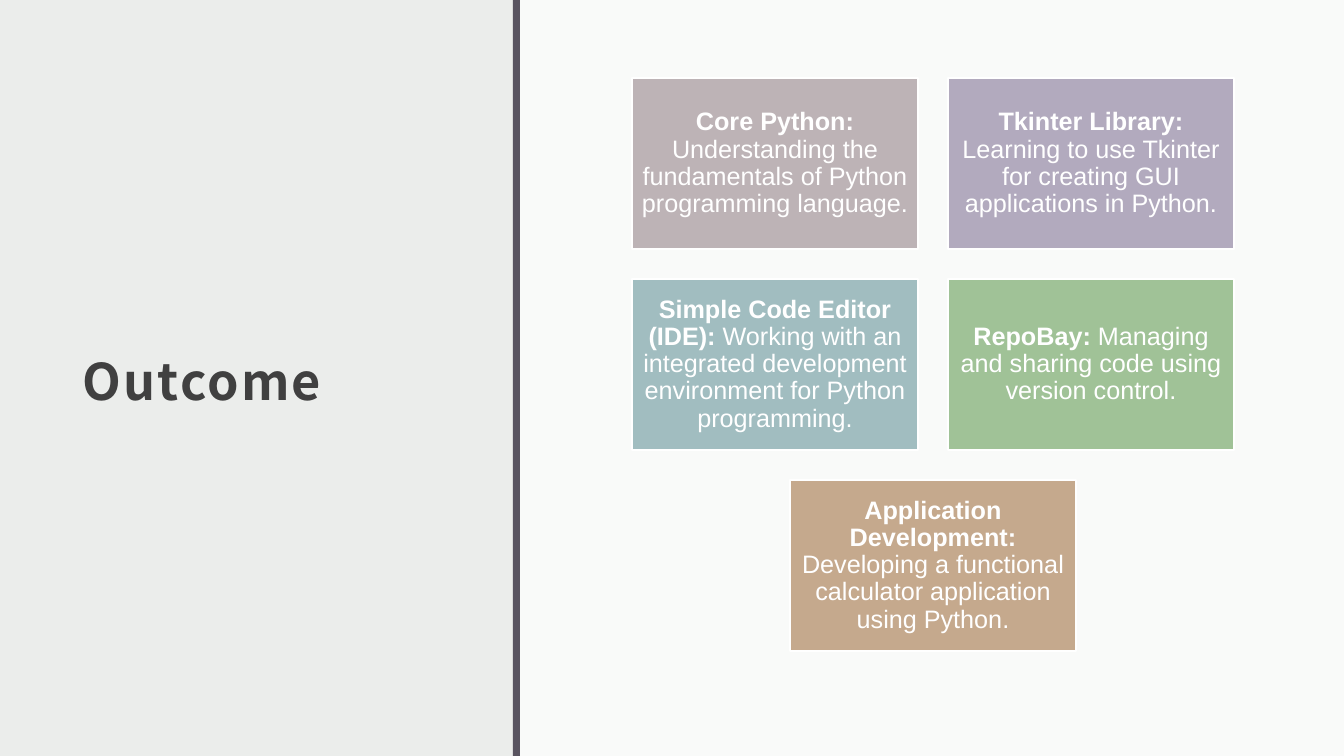
from dataclasses import dataclass

from lxml.etree import SubElement
from pptx import Presentation
from pptx.dml.color import RGBColor
from pptx.enum.shapes import MSO_SHAPE
from pptx.enum.text import MSO_ANCHOR, MSO_AUTO_SIZE, PP_ALIGN
from pptx.oxml.ns import qn
from pptx.util import Pt


@dataclass(frozen=True)
class Theme:
    back: str = "EBEDEB"
    panel: str = "FFFFFF"
    bar: str = "595460"
    title: str = "404040"
    text: str = "FFFFFF"
    head_font: str = "Noto Sans CJK JP"
    body_font: str = "Arial"
    head_size: int = 36
    body_size: int = 18


THEME = Theme()
WIDE, HIGH = 1344, 756
SPLIT = 514

TILE_W, TILE_H, GAP = 286, 171, 30
LEFT, TOP, COLS = 632, 78, 2
TILES = [
    ("Core Python: ",
     "Understanding the fundamentals of Python programming language.", "BDB3B6"),
    ("Tkinter Library: ",
     "Learning to use Tkinter for creating GUI applications in Python.", "B2AABE"),
    ("Simple Code Editor (IDE): ",
     "Working with an integrated development environment for Python programming.",
     "A1BDC0"),
    ("RepoBay: ", "Managing and sharing code using version control.", "A0C297"),
    ("Application Development: ",
     "Developing a functional calculator application using Python.", "C5A98D"),
]


def px(count):
    return round(count * 914400 / 100.8)


def color(code):
    return RGBColor.from_string(code)


def set_frame(frame, pad):
    frame.word_wrap = True
    frame.auto_size = MSO_AUTO_SIZE.NONE
    frame.vertical_anchor = MSO_ANCHOR.MIDDLE
    frame.margin_left = frame.margin_right = px(pad)
    frame.margin_top = frame.margin_bottom = px(pad)


def set_font(font, name, size, code):
    font.name = name
    font.size = Pt(size)
    font.color.rgb = color(code)


def add_rect(slide, x, y, w, h, code):
    rect = slide.shapes.add_shape(MSO_SHAPE.RECTANGLE, px(x), px(y), px(w), px(h))
    rect.shadow.inherit = False
    rect.fill.solid()
    rect.fill.fore_color.rgb = color(code)
    rect.line.fill.background()
    return rect


def fade(shape, percent):
    """Make a solid fill see-through, leaving percent of its strength."""
    tint = shape.fill._xPr.find(qn("a:solidFill"))[0]
    SubElement(tint, qn("a:alpha"), val=str(percent * 1000))


def add_title(slide, text):
    title = slide.shapes.title
    title.left, title.top, title.width, title.height = map(px, (71, 78, 376, 573))
    frame = title.text_frame
    set_frame(frame, 12)
    frame.margin_bottom = px(10)
    para = frame.paragraphs[0]
    para.alignment = PP_ALIGN.LEFT
    para.line_spacing = 1.5
    run = para.add_run()
    run.text = text
    set_font(para.font, THEME.head_font, THEME.head_size, THEME.title)
    para.font.bold = True
    run.font._element.set("spc", "150")


def add_tile(slide, x, y, head, body, code):
    tile = add_rect(slide, x, y, TILE_W, TILE_H, code)
    tile.line.color.rgb = color(THEME.text)
    tile.line.width = Pt(1)
    frame = tile.text_frame
    set_frame(frame, 7)
    para = frame.paragraphs[0]
    para.alignment = PP_ALIGN.CENTER
    para.line_spacing = 0.9
    for text, bold in ((head, True), (body, False)):
        run = para.add_run()
        run.text = text
        run.font.bold = bold
    set_font(para.font, THEME.body_font, THEME.body_size, THEME.text)


def add_tiles(slide):
    """Lay the tiles out in rows, centring a row that is not full."""
    for i, tile in enumerate(TILES):
        row, col = divmod(i, COLS)
        spare = COLS - min(COLS, len(TILES) - row * COLS)
        x = LEFT + (col + spare / 2) * (TILE_W + GAP)
        add_tile(slide, x, TOP + row * (TILE_H + GAP), *tile)


def main():
    deck = Presentation()
    deck.slide_width, deck.slide_height = px(WIDE), px(HIGH)
    slide = deck.slides.add_slide(deck.slide_layouts[5])
    fill = slide.background.fill
    fill.solid()
    fill.fore_color.rgb = color(THEME.back)
    add_title(slide, "Outcome")
    fade(add_rect(slide, SPLIT, 0, WIDE - SPLIT, HIGH, THEME.panel), 75)
    add_rect(slide, SPLIT - 1, 0, 7, HIGH, THEME.bar)
    add_tiles(slide)
    deck.save("out.pptx")


if __name__ == "__main__":
    main()
